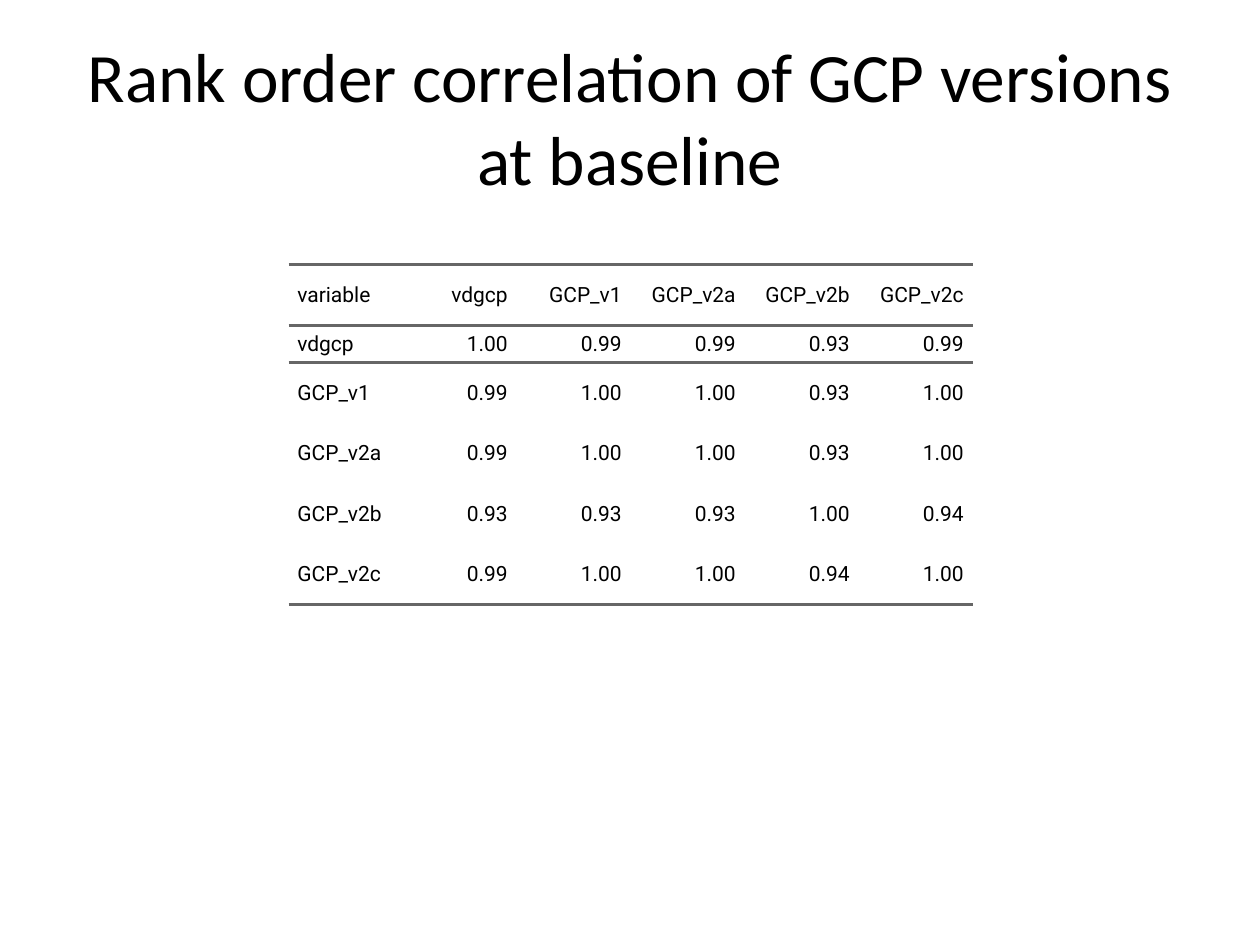
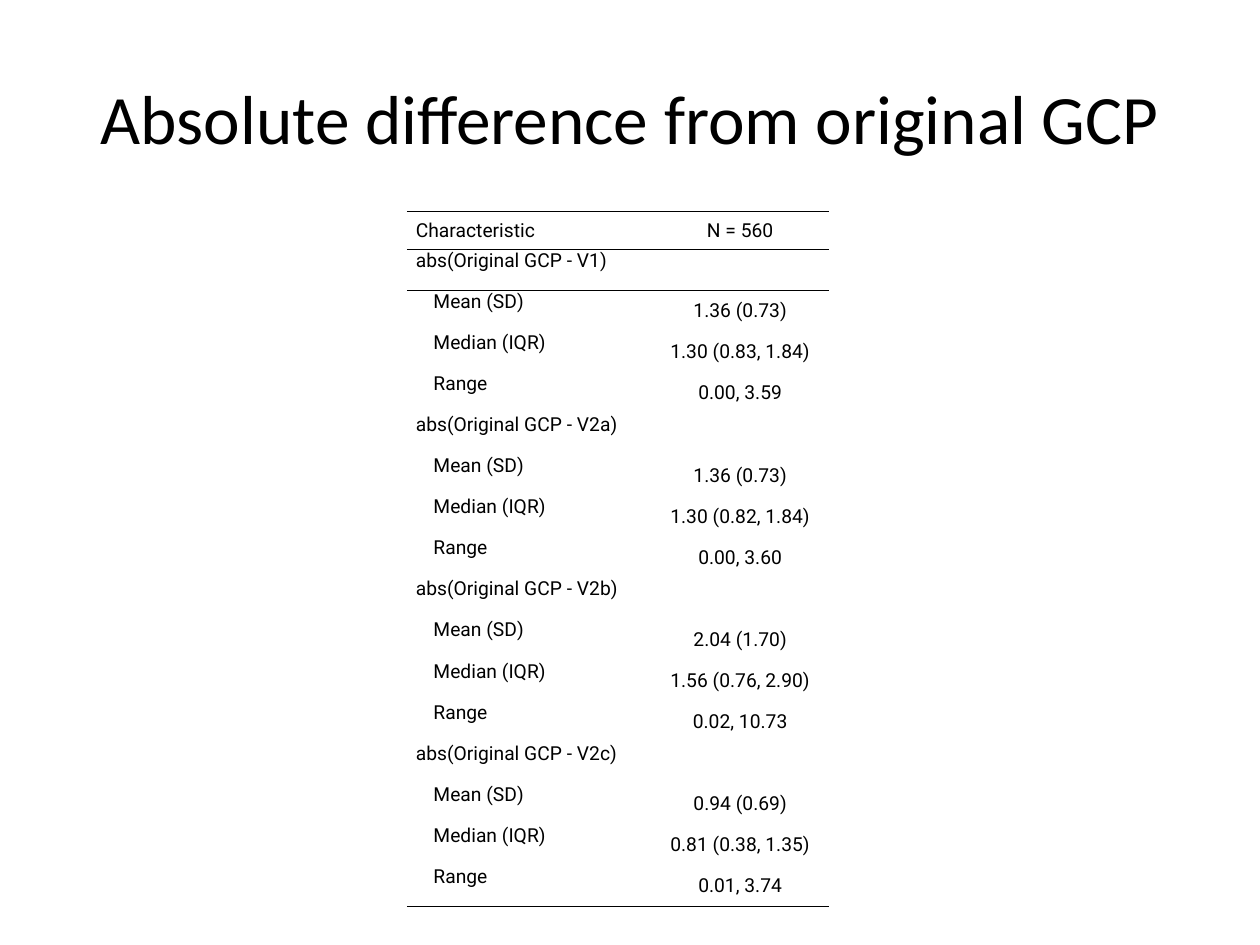
import pptx
import pptx.util
import pptx.dml.color
import pptx.enum.text
import pptx.oxml.ns
from lxml import etree

ALIGN = pptx.enum.text.PP_ALIGN
ANCHOR = pptx.enum.text.MSO_ANCHOR
Inches, Pt = pptx.util.Inches, pptx.util.Pt

COLORS = {"text": "000000", "heavy rule": "666666", "light rule": "000000"}
TITLE_FONT, TABLE_FONT = "Calibri", "Roboto"
PLAIN_STYLE = "{2D5ABB26-0587-4C30-8999-92F81FD0307C}"
CELL_INDENT, STATISTIC_INDENT = 0.07, 0.21

versions = ["vdgcp", "GCP_v1", "GCP_v2a", "GCP_v2b", "GCP_v2c"]
correlations = [
    ["1.00", "0.99", "0.99", "0.93", "0.99"],
    ["0.99", "1.00", "1.00", "0.93", "1.00"],
    ["0.99", "1.00", "1.00", "0.93", "1.00"],
    ["0.93", "0.93", "0.93", "1.00", "0.94"],
    ["0.99", "1.00", "1.00", "0.94", "1.00"],
]
statistics = ["Mean (SD)", "Median (IQR)", "Range"]
differences = {
    "V1": ["1.36 (0.73)", "1.30 (0.83, 1.84)", "0.00, 3.59"],
    "V2a": ["1.36 (0.73)", "1.30 (0.82, 1.84)", "0.00, 3.60"],
    "V2b": ["2.04 (1.70)", "1.56 (0.76, 2.90)", "0.02, 10.73"],
    "V2c": ["0.94 (0.69)", "0.81 (0.38, 1.35)", "0.01, 3.74"],
}

correlation_rows = [["variable"] + versions]
correlation_rows += [[name] + values for name, values in zip(versions, correlations)]
difference_rows = [["Characteristic", "N = 560"]]
for version, values in differences.items():
    difference_rows.append([f"abs(Original GCP - {version})", ""])
    difference_rows += [list(pair) for pair in zip(statistics, values)]

slides = [
    dict(title="Rank order correlation of GCP versions at baseline",
         rows=correlation_rows, left=2.29, top=2.1,
         widths=[5.43 / 6] * 6, heights=[0.48, 0.3] + [0.48] * 4,
         size=12, header_gap=5, value_align=ALIGN.RIGHT,
         label_anchor=ANCHOR.MIDDLE, rule=("heavy rule", 2)),
    dict(title="Absolute difference from original GCP",
         rows=difference_rows, left=3.23, top=1.68,
         widths=[1.94, 1.41], heights=[0.3] + [5.22 / 16] * 16,
         size=11, header_gap=2, value_align=ALIGN.CENTER,
         label_anchor=ANCHOR.TOP, rule=("light rule", 1)),
]


def style_text(paragraph, font_name, size):
    for run in paragraph.runs:
        run.font.name = font_name
        run.font.size = Pt(size)
        run.font.color.rgb = pptx.dml.color.RGBColor.from_string(COLORS["text"])


def add_rule(cell, side, rule):
    color, width = rule
    qn = pptx.oxml.ns.qn
    line = etree.SubElement(cell._tc.get_or_add_tcPr(), qn(f"a:ln{side}"), w=str(Pt(width)))
    fill = etree.SubElement(line, qn("a:solidFill"))
    etree.SubElement(fill, qn("a:srgbClr"), val=COLORS[color])


def fill_cell(cell, content, row, column, text):
    header, label = row == 0, column == 0
    cell.margin_left = cell.margin_right = cell.margin_top = cell.margin_bottom = 0
    cell.vertical_anchor = content["label_anchor"] if label and not header else ANCHOR.MIDDLE
    if row <= 1:
        add_rule(cell, "T", content["rule"])
    if header or row == len(content["rows"]) - 1:
        add_rule(cell, "B", content["rule"])
    cell.fill.background()
    if not text:
        return
    cell.text_frame.text = text
    paragraph = cell.text_frame.paragraphs[0]
    paragraph.alignment = ALIGN.LEFT if label else content["value_align"]
    gap = content["header_gap"] if header else 5
    paragraph.space_before = paragraph.space_after = Pt(gap)
    indent = STATISTIC_INDENT if text in statistics else CELL_INDENT
    properties = paragraph._p.get_or_add_pPr()
    properties.set("marL", str(Inches(indent)))
    properties.set("marR", str(Inches(CELL_INDENT)))
    properties.set("indent", "0")
    style_text(paragraph, TABLE_FONT, content["size"])


def add_title(slide, text):
    title = slide.shapes.title
    title.left, title.top, title.width, title.height = map(Inches, (0.5, 0.3, 9, 1.25))
    frame = title.text_frame
    frame.text = text
    frame.auto_size = pptx.enum.text.MSO_AUTO_SIZE.NONE
    frame.vertical_anchor = ANCHOR.MIDDLE
    frame.paragraphs[0].alignment = ALIGN.CENTER
    style_text(frame.paragraphs[0], TITLE_FONT, 39.6)


def add_results(slide, content):
    widths, heights = content["widths"], content["heights"]
    box = map(Inches, (content["left"], content["top"], sum(widths), sum(heights)))
    table = slide.shapes.add_table(len(heights), len(widths), *box).table
    table.first_row = table.horz_banding = False
    table._tbl.tblPr.find(pptx.oxml.ns.qn("a:tableStyleId")).text = PLAIN_STYLE
    for column, width in zip(table.columns, widths):
        column.width = Inches(width)
    for row, height in zip(table.rows, heights):
        row.height = Inches(height)
    for row, texts in enumerate(content["rows"]):
        for column, text in enumerate(texts):
            fill_cell(table.cell(row, column), content, row, column, text)


deck = pptx.Presentation()
deck.slide_width, deck.slide_height = Inches(10), Inches(7.5)
for content in slides:
    slide = deck.slides.add_slide(deck.slide_layouts.get_by_name("Title Only"))
    add_title(slide, content["title"])
    add_results(slide, content)
deck.save("out.pptx")
